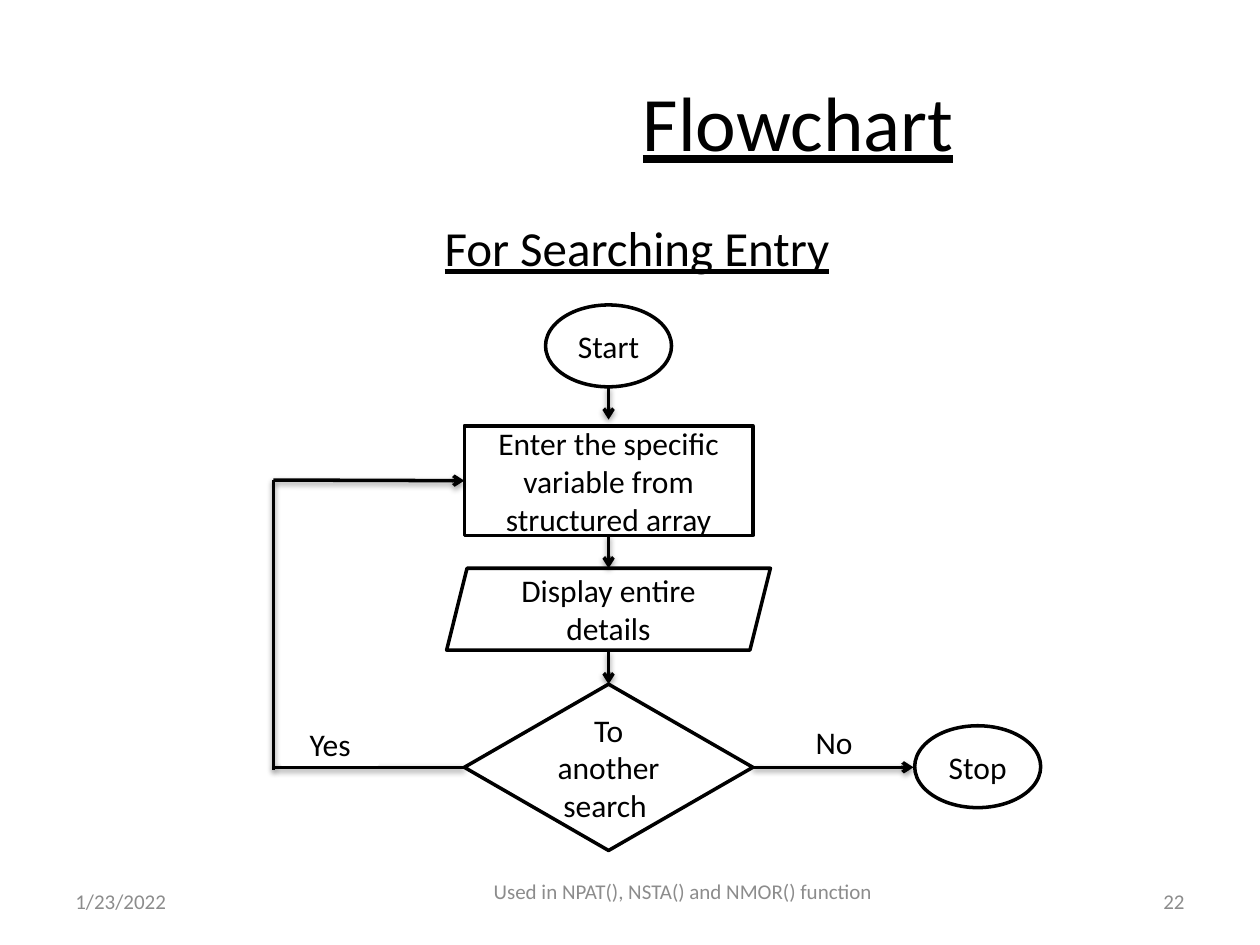
import pptx
import pptx.dml.color
import pptx.enum.shapes
import pptx.enum.text
import pptx.oxml
import pptx.oxml.ns
import pptx.util

Inches = pptx.util.Inches
SHAPE = pptx.enum.shapes.MSO_SHAPE
ALIGN = pptx.enum.text.PP_ALIGN
ANCHOR = pptx.enum.text.MSO_ANCHOR
BLACK = pptx.dml.color.RGBColor(0x00, 0x00, 0x00)
WHITE = pptx.dml.color.RGBColor(0xFF, 0xFF, 0xFF)
GREY = pptx.dml.color.RGBColor(0x8C, 0x8C, 0x8C)
FONT = "Calibri"
TOP, LEFT, BOTTOM, RIGHT = range(4)

AXIS = 4.83        # centre of the main column
BRANCH = 6.09      # height of the yes / no branches
LOOP_X = 2.17      # left edge of the loop back
STOP_X = 7.76      # centre of the end node

# text, left, top, width, height, alignment, bottom inset
FOOTERS = [
    ("1/23/2022", 0.5, 6.95, 2.33, 0.4, ALIGN.LEFT, 0.05),
    ("Used in NPAT(), NSTA() and NMOR() function", 3.42, 7, 4, 0.35, ALIGN.CENTER, 0.25),
    ("22", 7.17, 6.95, 2.33, 0.4, ALIGN.RIGHT, 0.05),
]
# text, left, top, width, height, size, anchor
HEADINGS = [
    ("Flowchart", 3, 0.33, 6.67, 1.25, 44, ANCHOR.MIDDLE),
    ("For Searching Entry", 0.43, 1.63, 9.25, 5, 28, ANCHOR.TOP),
]
# name: preset, text, centre x, top, width, height
NODES = {
    "start": (SHAPE.OVAL, "Start", AXIS, 2.42, 1, 0.65),
    "enter": (SHAPE.RECTANGLE, "Enter the specific variable from structured array",
              AXIS, 3.38, 2.29, 0.87),
    "display": (SHAPE.PARALLELOGRAM, "Display entire details", AXIS, 4.51, 2.57, 0.65),
    "again": (SHAPE.DIAMOND, "To another search ", AXIS, 5.43, 2.29, 1.32),
    "stop": (SHAPE.OVAL, "Stop", STOP_X, 5.76, 1, 0.65),
}
# text, centre x, top
LABELS = [("Yes", 2.62, 5.74), ("No", 6.62, 5.72)]
LABEL_WIDTH, LABEL_HEIGHT = 0.75, 0.33
# from, to, arrowhead, (node, side) joined at the start, at the end
LINKS = [
    ((AXIS, 3.07), (AXIS, 3.33), True, None, None),
    ((AXIS, 4.25), (AXIS, 4.51), True, ("enter", BOTTOM), None),
    ((AXIS, 5.17), (AXIS, 5.43), True, None, ("again", TOP)),
    ((3.69, BRANCH), (LOOP_X, BRANCH), False, ("again", LEFT), None),
    ((LOOP_X, 3.81), (LOOP_X, 6.11), False, None, None),
    ((LOOP_X, 3.81), (3.69, 3.81), True, None, ("enter", LEFT)),
    ((5.98, BRANCH), (7.25, BRANCH), True, ("again", RIGHT), None),
]
SHADOW = (
    f'<a:effectLst {pptx.oxml.ns.nsdecls("a")}>'
    '<a:outerShdw blurRad="40000" dist="20000" dir="5400000" rotWithShape="0">'
    '<a:srgbClr val="000000"><a:alpha val="38000"/></a:srgbClr>'
    "</a:outerShdw></a:effectLst>"
)
ARROWHEAD = f'<a:tailEnd {pptx.oxml.ns.nsdecls("a")} type="arrow"/>'


def write(shape, text, size, color=BLACK, align=ALIGN.CENTER,
          anchor=ANCHOR.MIDDLE, underline=None):
    frame = shape.text_frame
    frame.word_wrap = True
    frame.vertical_anchor = anchor
    frame.text = text
    paragraph = frame.paragraphs[0]
    paragraph.alignment = align
    font = paragraph.runs[0].font
    font.name, font.size, font.underline = FONT, pptx.util.Pt(size), underline
    font.color.rgb = color


def add_box(slide, preset, left, top, width, height, line):
    shape = slide.shapes.add_shape(preset, *map(Inches, (left, top, width, height)))
    shape.shadow.inherit = False
    shape.fill.solid()
    shape.fill.fore_color.rgb = WHITE
    shape.line.color.rgb = line
    shape.line.width = pptx.util.Pt(2)
    return shape


def add_link(slide, nodes, start, end, arrow, joined_start, joined_end):
    connector = slide.shapes.add_connector(
        pptx.enum.shapes.MSO_CONNECTOR.STRAIGHT, *map(Inches, start + end))
    if joined_start:
        connector.begin_connect(nodes[joined_start[0]], joined_start[1])
    if joined_end:
        connector.end_connect(nodes[joined_end[0]], joined_end[1])
    connector.line.color.rgb = BLACK
    connector.line.width = pptx.util.Pt(2)
    properties = connector._element.spPr
    if arrow:
        properties.find(pptx.oxml.ns.qn("a:ln")).append(pptx.oxml.parse_xml(ARROWHEAD))
    properties.append(pptx.oxml.parse_xml(SHADOW))


def main():
    presentation = pptx.Presentation()
    presentation.slide_width, presentation.slide_height = Inches(10), Inches(7.5)
    slide = presentation.slides.add_slide(presentation.slide_layouts[6])

    for text, left, top, width, height, align, inset in FOOTERS:
        box = slide.shapes.add_textbox(*map(Inches, (left, top, width, height)))
        write(box, text, 12, GREY, align)
        box.text_frame.margin_bottom = Inches(inset)

    for text, left, top, width, height, size, anchor in HEADINGS:
        box = add_box(slide, SHAPE.RECTANGLE, left, top, width, height, WHITE)
        write(box, text, size, anchor=anchor, underline=True)
        box.text_frame.margin_top = box.text_frame.margin_bottom = Inches(0.1)

    nodes = {}
    for name, (preset, text, center, top, width, height) in NODES.items():
        nodes[name] = add_box(slide, preset, center - width / 2, top, width, height, BLACK)
        write(nodes[name], text, 18)

    for link in LINKS:
        add_link(slide, nodes, *link)

    for text, center, top in LABELS:
        label = add_box(slide, SHAPE.RECTANGLE, center - LABEL_WIDTH / 2, top,
                        LABEL_WIDTH, LABEL_HEIGHT, WHITE)
        write(label, text, 18)

    presentation.save("out.pptx")


if __name__ == "__main__":
    main()
